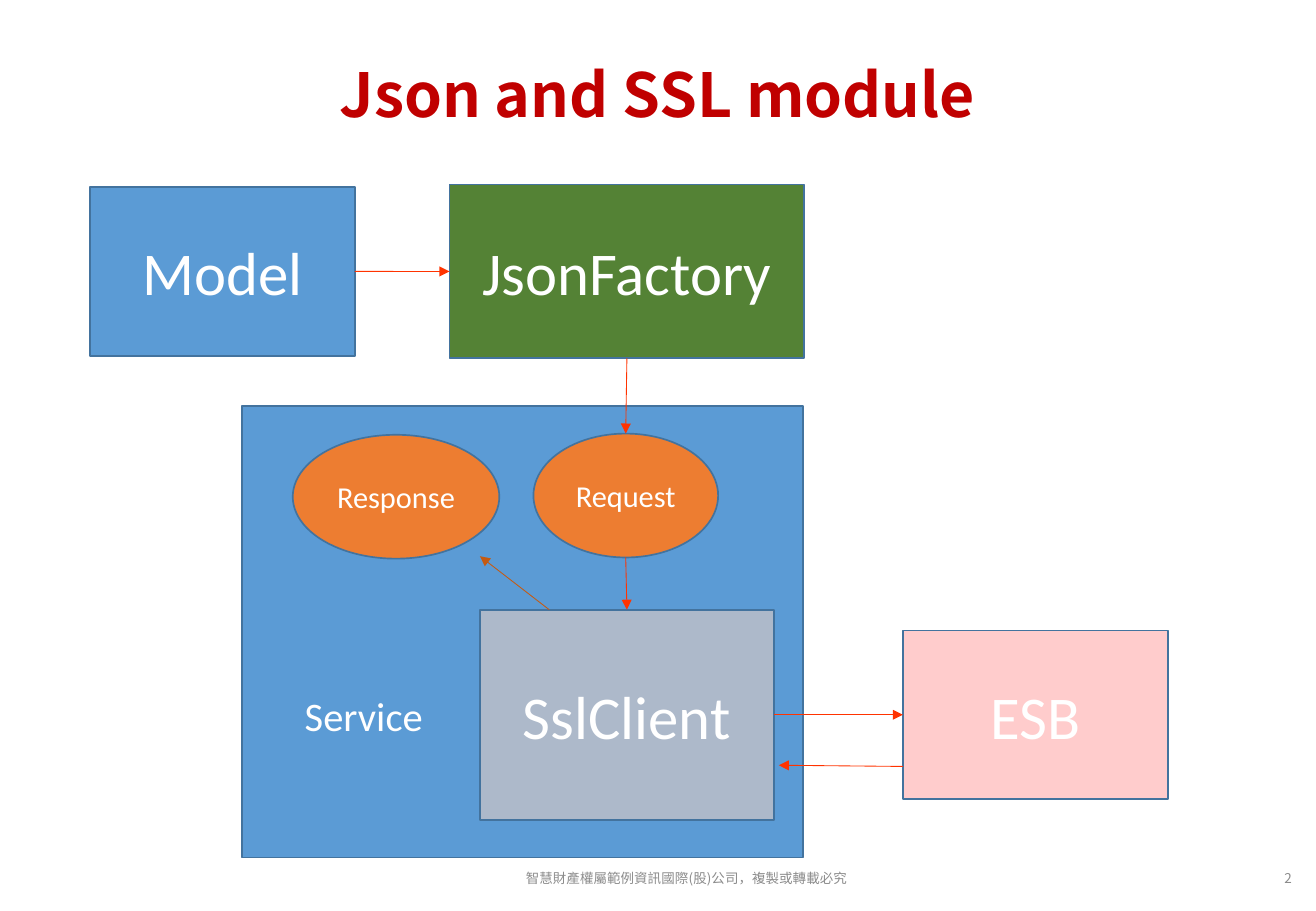
from dataclasses import dataclass

from lxml import etree
from pptx import Presentation
from pptx.dml.color import RGBColor
from pptx.enum.shapes import MSO_CONNECTOR, MSO_SHAPE
from pptx.enum.text import MSO_ANCHOR, PP_ALIGN
from pptx.oxml.ns import qn
from pptx.util import Inches, Pt

RECT, OVAL = MSO_SHAPE.RECTANGLE, MSO_SHAPE.OVAL
STRAIGHT = MSO_CONNECTOR.STRAIGHT
MIDDLE = MSO_ANCHOR.MIDDLE
LEFT, CENTER, RIGHT = PP_ALIGN.LEFT, PP_ALIGN.CENTER, PP_ALIGN.RIGHT

LATIN, CJK = "Calibri", "Noto Sans CJK SC"
WHITE, BLUE, OUTLINE = "FFFFFF", "5B9BD5", "43739E"
ORANGE, GREEN, GREY_BLUE, PINK = "ED7D31", "548235", "ADB9CA", "FFCCCC"
CRIMSON, GREY, RED, BROWN = "C00000", "8C8C8C", "FF3300", "C55A11"


@dataclass
class Box:
    left: int
    top: int
    width: int
    height: int

    def at(self, x, y):
        return (self.left + round(self.width * x / 100),
                self.top + round(self.height * y / 100))

    def area(self, x, y, width, height):
        return Box(*self.at(x, y), round(self.width * width / 100),
                   round(self.height * height / 100))

    def frame(self):
        return self.left, self.top, self.width, self.height


def paint(color_format, color):
    color_format.rgb = RGBColor.from_string(color)


def write(frame, words, size, color, face, align=CENTER, bold=False):
    frame.vertical_anchor = MIDDLE
    paragraph = frame.paragraphs[0]
    paragraph.text = words
    paragraph.alignment = align
    font = paragraph.font
    font.size, font.name, font.bold = Pt(size), face, bold
    font.fill.solid()
    paint(font.fill.fore_color, color)
    defaults = paragraph._p.pPr.find(qn("a:defRPr"))
    etree.SubElement(defaults, qn("a:ea")).set("typeface", face)
    return paragraph


def add_label(slide, box, words, size, color, face, align=CENTER, wrap=True):
    frame = slide.shapes.add_textbox(*box.frame()).text_frame
    frame.word_wrap = wrap
    write(frame, words, size, color, face, align)


def add_block(slide, box, fill, words="", kind=RECT, size=36):
    block = slide.shapes.add_shape(kind, *box.frame())
    block.shadow.inherit = False
    block.fill.solid()
    paint(block.fill.fore_color, fill)
    block.line.width = Pt(1)
    paint(block.line.color, OUTLINE)
    if words:
        write(block.text_frame, words, size, WHITE, LATIN)
    return box


def add_arrow(slide, start, end, color=RED):
    arrow = slide.shapes.add_connector(STRAIGHT, *start, *end)
    arrow.line.width = Pt(0.5)
    paint(arrow.line.color, color)
    outline = arrow._element.spPr.find(qn("a:ln"))
    etree.SubElement(outline, qn("a:tailEnd")).set("type", "triangle")
    etree.SubElement(arrow._element.spPr, qn("a:effectLst"))


def add_title(slide, box):
    title = slide.shapes.title
    title.left, title.top, title.width, title.height = box.frame()
    heading = write(title.text_frame, "Json and SSL module", 36, CRIMSON, CJK, bold=True)
    heading.line_spacing = 0.9


def add_service(slide, box):
    add_block(slide, box, BLUE)
    add_label(slide, box.area(9.09, 61.83, 25.76, 13.44), "Service", 24, WHITE,
              LATIN, LEFT, wrap=False)
    client = add_block(slide, box.area(42.42, 45.16, 52.38, 46.51), GREY_BLUE, "SslClient")
    request = add_block(slide, box.area(51.95, 6.18, 32.9, 27.42), ORANGE, "Request", OVAL, 18)
    response = add_block(slide, box.area(9.09, 6.45, 36.8, 27.42), ORANGE, "Response", OVAL, 18)
    add_arrow(slide, request.at(50, 100), client.at(50, 0))
    add_arrow(slide, client.at(23.6, 0), response.at(90.6, 98), BROWN)
    return client, request


def add_diagram(slide, page):
    client, request = add_service(slide, page.area(18.37, 44.53, 42.66, 49.6))
    model = add_block(slide, page.area(6.83, 20.53, 20.13, 18.53), BLUE, "Model")
    factory = add_block(slide, page.area(34.16, 20.27, 26.96, 19.07), GREEN, "JsonFactory")
    esb = add_block(slide, page.area(68.61, 69.2, 20.13, 18.53), PINK, "ESB")
    add_arrow(slide, model.at(100, 50), factory.at(0, 50))
    add_arrow(slide, factory.at(50, 100), request.at(50, 0))
    add_arrow(slide, client.at(100, 50), esb.at(0, 50))
    add_arrow(slide, esb.at(0, 80.6), client.at(101.65, 74))


def add_footer(slide, box):
    add_label(slide, box.area(35.27, 0, 33.8, 100),
              "智慧財產權屬範例資訊國際(股)公司，複製或轉載必究", 8, GREY, CJK)
    add_label(slide, box.area(93.17, 0, 5.91, 100), "2", 8, GREY, CJK, RIGHT)


def main():
    deck = Presentation()
    deck.slide_width, deck.slide_height = Inches(10.83), Inches(7.5)
    page = Box(0, 0, deck.slide_width, deck.slide_height)
    slide = deck.slides.add_slide(deck.slide_layouts.get_by_name("Title Only"))
    add_title(slide, page.area(6.83, 5.73, 86.24, 10))
    add_diagram(slide, page)
    add_footer(slide, page.area(0, 93.73, 100, 5.33))
    deck.save("out.pptx")


if __name__ == "__main__":
    main()
